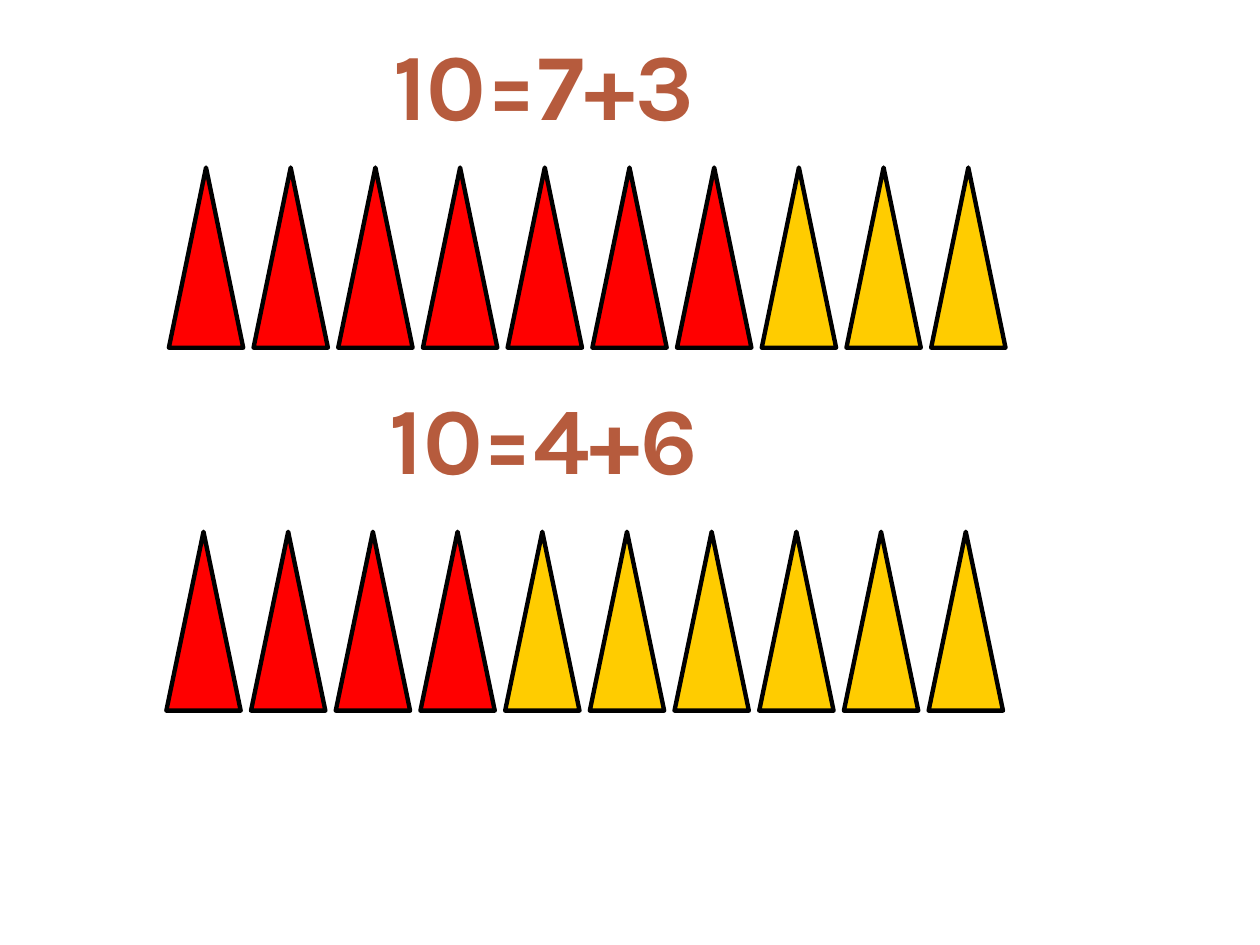
import pptx
import pptx.dml.color
import pptx.enum.shapes
import pptx.enum.text
import pptx.util
from pptx.util import Inches


def color(hex_string):
    return pptx.dml.color.RGBColor.from_string(hex_string)


deck = pptx.Presentation()
deck.slide_width = Inches(10)
deck.slide_height = Inches(7.5)
page = deck.slides.add_slide(deck.slide_layouts[6])

CONE_COUNT = 10
CONE_STEP = 6.05 / (CONE_COUNT - 1)

# equation, its top, number of red cones, left and top of the row, cone height
rows = [
    ("10=7+3", 0.16, 7, 1.34, 1.33, 1.43),
    ("10=4+6", 2.97, 4, 1.32, 4.22, 1.42),
]

for equation, equation_top, red_count, row_left, row_top, cone_height in rows:
    for index in range(CONE_COUNT):
        cone = page.shapes.add_shape(
            pptx.enum.shapes.MSO_SHAPE.ISOSCELES_TRIANGLE,
            Inches(row_left + index * CONE_STEP), Inches(row_top),
            Inches(0.59), Inches(cone_height))
        cone.shadow.inherit = False
        cone.fill.solid()
        cone.fill.fore_color.rgb = color("FF0000" if index < red_count else "FFCC00")
        cone.line.color.rgb = color("000000")
        cone.line.width = pptx.util.Pt(2.5)

    box = page.shapes.add_textbox(
        Inches(2.89), Inches(equation_top), Inches(2.85), Inches(1.01))
    box.text_frame.word_wrap = False
    box.text_frame.auto_size = pptx.enum.text.MSO_AUTO_SIZE.SHAPE_TO_FIT_TEXT
    box.text_frame.text = equation
    para = box.text_frame.paragraphs[0]
    para.alignment = pptx.enum.text.PP_ALIGN.CENTER
    span = para.runs[0]
    span.font.name = "Karla"
    span.font.size = pptx.util.Pt(54)
    span.font.bold = True
    span.font.color.rgb = color("B65B3D")

deck.save("out.pptx")
